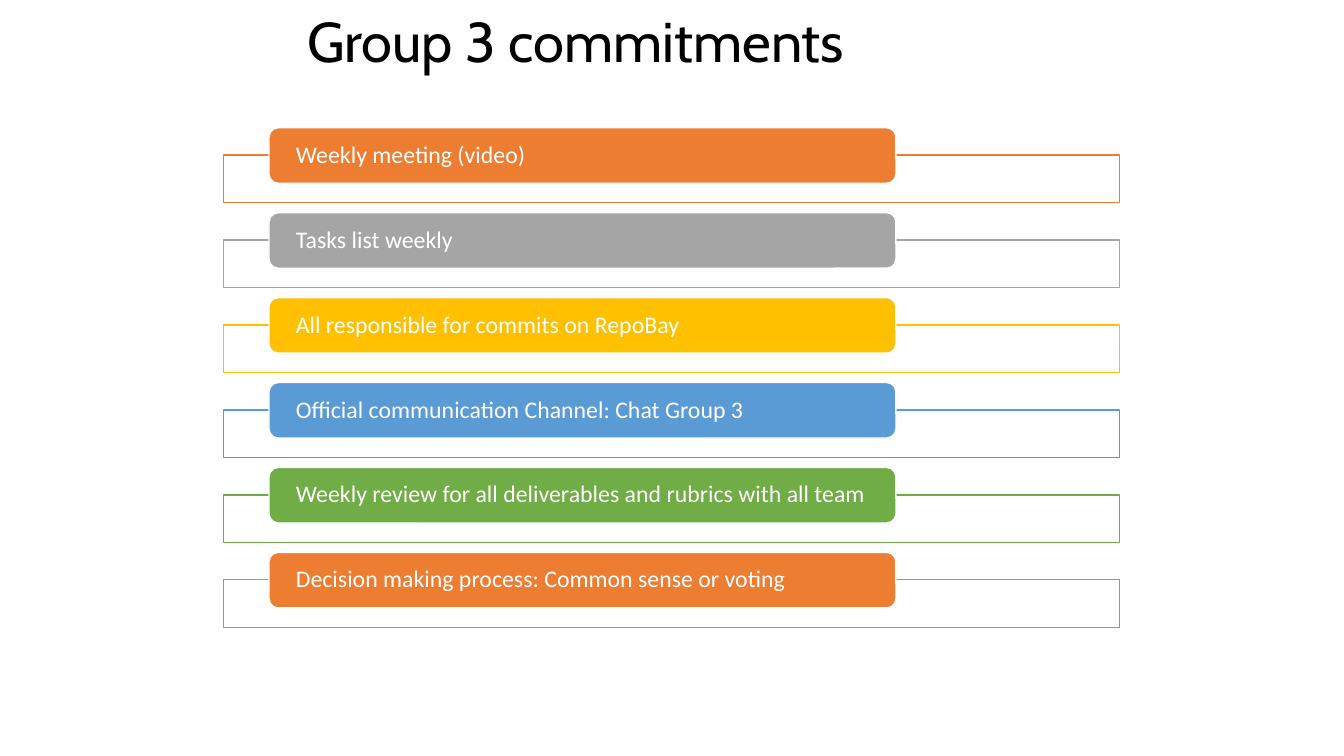
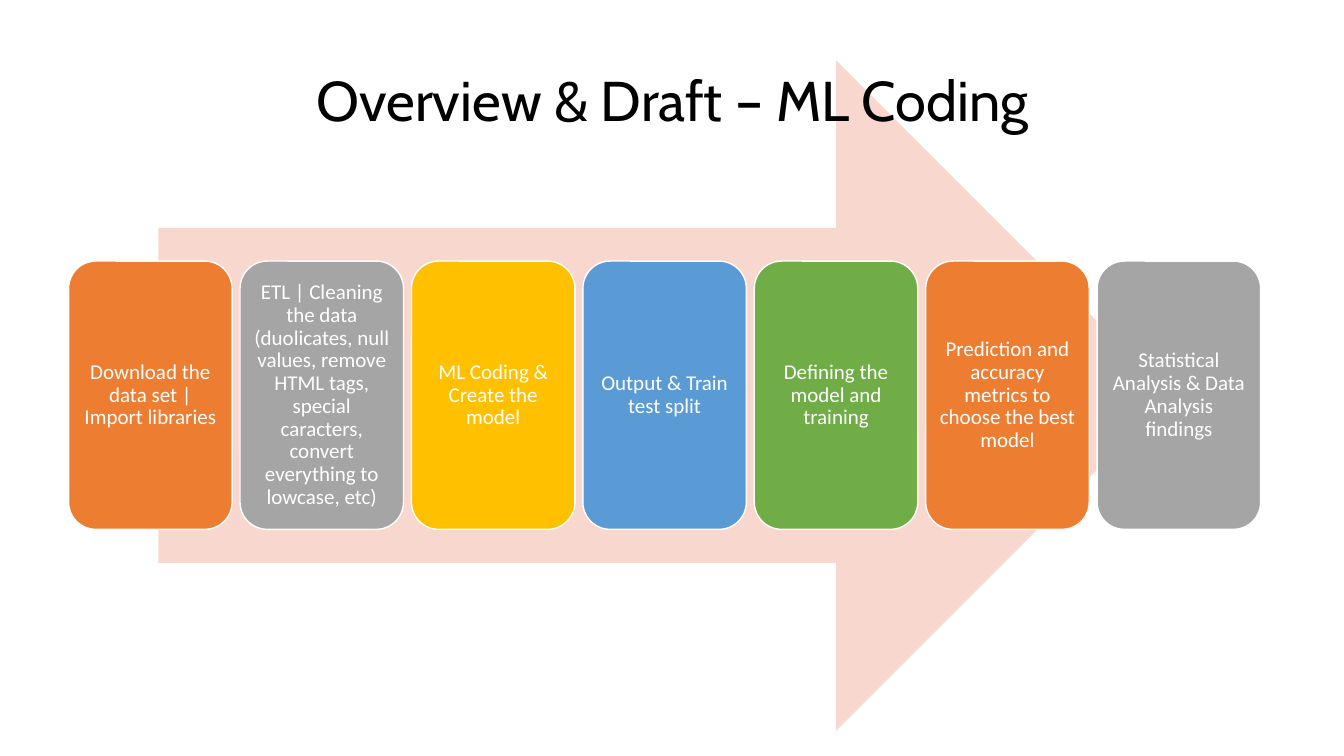
from itertools import cycle

from pptx import Presentation
from pptx.dml.color import RGBColor
from pptx.enum.shapes import MSO_SHAPE as SHAPE
from pptx.enum.text import MSO_ANCHOR as ANCHOR, MSO_AUTO_SIZE as AUTO, PP_ALIGN as ALIGN
from pptx.util import Cm, Pt


def rgb(hex_text):
    return RGBColor.from_string(hex_text)


class Deck:
    TITLE_FONT, BODY_FONT = "Cabin", "Calibri"
    BLACK, WHITE, BLUSH = "000000", "FFFFFF", "F8D7CE"
    ACCENTS = ["ED7D31", "A5A5A5", "FFC000", "5B9BD5", "70AD47"]

    def __init__(self):
        self.prs = Presentation()
        self.prs.slide_width, self.prs.slide_height = Cm(33.87), Cm(19.05)
        self.slide = None

    def new_slide(self):
        self.slide = self.prs.slides.add_slide(self.prs.slide_layouts[5])

    def add_text(self, tf, text, font, size, color, align):
        tf.word_wrap = True
        p = tf.paragraphs[0]
        p.alignment = align
        r = p.add_run()
        r.text = text
        r.font.name, r.font.size = font, Pt(size)
        r.font.color.rgb = rgb(color)
        return p

    def title(self, text, left, top, width):
        sp = self.slide.shapes.title
        sp.left, sp.top, sp.width, sp.height = Cm(left), Cm(top), Cm(width), Cm(1.96)
        tf = sp.text_frame
        tf.auto_size = AUTO.NONE
        tf.vertical_anchor = ANCHOR.TOP
        self.add_text(tf, text, self.TITLE_FONT, 40, self.BLACK, ALIGN.LEFT)
        self.slide.shapes._spTree.append(sp._element)

    def shape(self, kind, left, top, width, height, fill, line=None):
        sp = self.slide.shapes.add_shape(kind, Cm(left), Cm(top), Cm(width), Cm(height))
        sp.shadow.inherit = False
        sp.fill.solid()
        sp.fill.fore_color.rgb = rgb(fill)
        if line:
            sp.line.color.rgb = rgb(line)
            sp.line.width = Pt(1)
        else:
            sp.line.fill.background()
        return sp

    def card(self, text, left, top, width, height, fill, size, align, inset_x, inset_y):
        sp = self.shape(SHAPE.ROUNDED_RECTANGLE, left, top, width, height, fill, self.WHITE)
        tf = sp.text_frame
        tf.margin_left = tf.margin_right = Cm(inset_x)
        tf.margin_top = tf.margin_bottom = Cm(inset_y)
        tf.vertical_anchor = ANCHOR.MIDDLE
        p = self.add_text(tf, text, self.BODY_FONT, size, self.WHITE, align)
        p.line_spacing = 0.9

    def commitments(self, items):
        for i, (text, color) in enumerate(zip(items, cycle(self.ACCENTS))):
            top = 3.22 + 2.14 * i
            self.shape(SHAPE.RECTANGLE, 5.64, top + 0.69, 22.58, 1.2, self.WHITE, color)
            self.card(text, 6.78, top, 15.8, 1.4, color, 17, ALIGN.LEFT, 0.61, 0)

    def process(self, steps):
        self.shape(SHAPE.RIGHT_ARROW, 3.99, 1.52, 25.53, 16.89, self.BLUSH)
        for i, (text, color) in enumerate(zip(steps, cycle(self.ACCENTS))):
            self.card(text, 1.73 + 4.32 * i, 6.58, 4.12, 6.76, color, 15,
                      ALIGN.CENTER, 0.15, 0.15)


deck = Deck()

deck.new_slide()
deck.commitments([
    "Weekly meeting (video)",
    "Tasks list weekly",
    "All responsible for commits on RepoBay",
    "Official communication Channel: Chat Group 3",
    "Weekly review for all deliverables and rubrics with all team",
    "Decision making process: Common sense or voting",
])
deck.title("Group 3 commitments", 7.49, 0.03, 17.2)

deck.new_slide()
deck.process([
    "Download the data set | Import libraries",
    "ETL | Cleaning the data (duolicates, null values, remove HTML tags, "
    "special caracters, convert everything to lowcase, etc)",
    "ML Coding & Create the model",
    "Output & Train test split",
    "Defining the model and training",
    "Prediction and accuracy metrics to choose the best model",
    "Statistical Analysis & Data Analysis findings",
])
deck.title("Overview & Draft – ML Coding", 7.72, 1.52, 20.17)

deck.prs.save("out.pptx")
